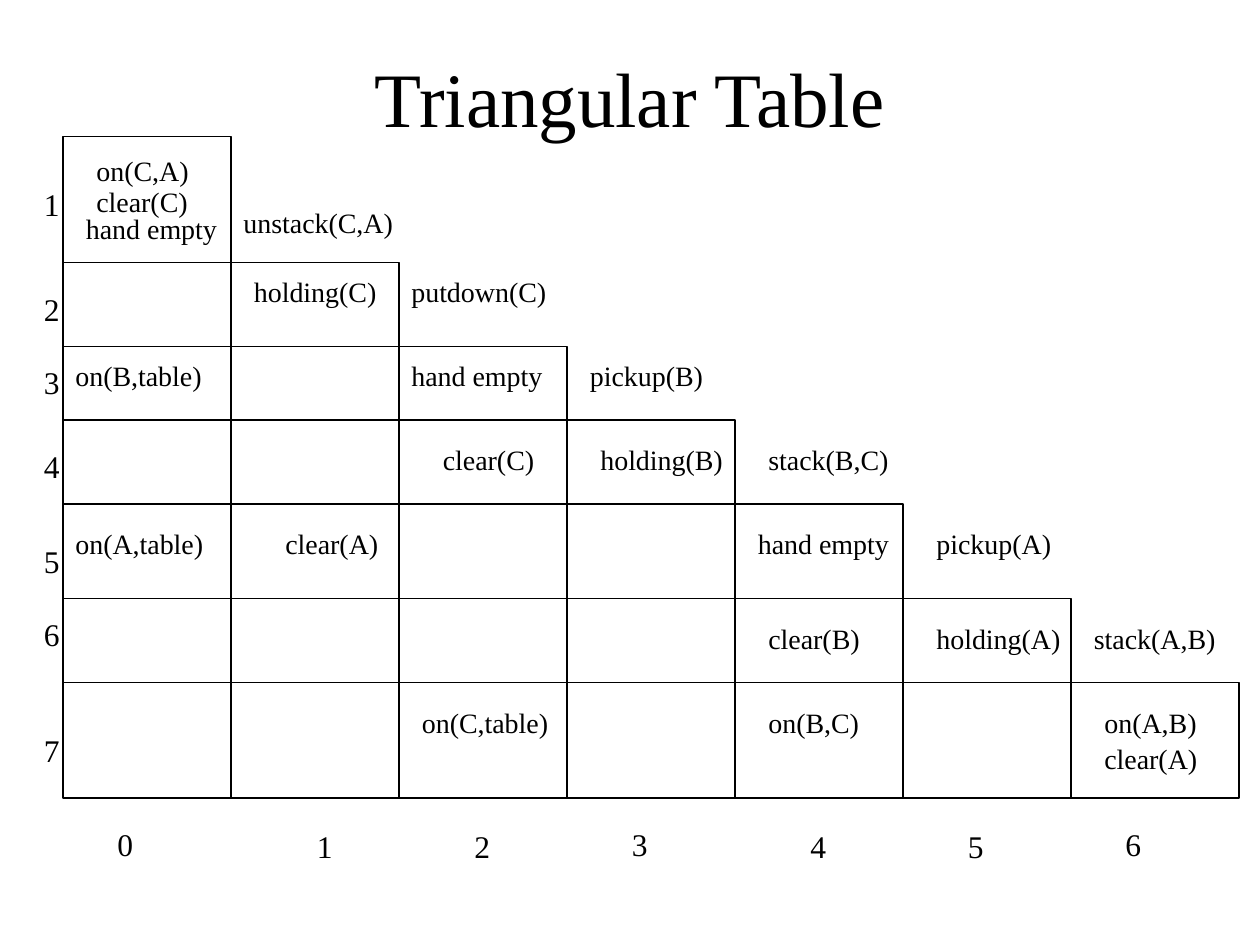
from dataclasses import dataclass
from lxml.etree import SubElement
from pptx import Presentation
from pptx.dml.color import RGBColor
from pptx.enum.shapes import MSO_CONNECTOR, MSO_SHAPE
from pptx.enum.text import MSO_ANCHOR, MSO_AUTO_SIZE, PP_ALIGN
from pptx.oxml.ns import qn
from pptx.util import Inches, Pt


@dataclass(frozen=True)
class Theme:
    font: str = "Times New Roman"
    ink: RGBColor = RGBColor(0, 0, 0)
    title: int = 44
    fact: int = 16
    index: int = 18
    rule: float = 0.75


@dataclass(frozen=True)
class Box:
    left: float
    top: float
    width: float
    height: float


THEME = Theme()
UNIT = Inches(1) / 12  # one grid step
COL = 16  # steps in a column
ROWS = [0, 12, 20, 27, 35, 44, 52]  # top of each row, in steps
WIDE = 19
# row, column, steps in, steps down, wording, width
FACTS = [
    (0, 0, 2, 1, "on(C,A)", WIDE),
    (0, 0, 2, 4, "clear(C)", WIDE),
    (0, 0, 1, 6.6, "hand empty", WIDE),
    (0, 1, 0, 6, "unstack(C,A)", WIDE),
    (1, 1, 1, 0.6, "holding(C)", COL),
    (1, 2, 0, 0.6, "putdown(C)", WIDE),
    (2, 0, 0, 0.6, "on(B,table)", WIDE),
    (2, 2, 0, 0.6, "hand empty", WIDE),
    (2, 3, 1, 0.6, "pickup(B)", WIDE),
    (3, 2, 3, 1.6, "clear(C)", WIDE),
    (3, 3, 2, 1.6, "holding(B)", WIDE),
    (3, 4, 2, 1.6, "stack(B,C)", WIDE),
    (4, 0, 0, 1.6, "on(A,table)", WIDE),
    (4, 1, 4, 1.6, "clear(A)", WIDE),
    (4, 4, 1, 1.6, "hand empty", WIDE),
    (4, 5, 2, 1.6, "pickup(A)", WIDE),
    (5, 4, 2, 1.6, "clear(B)", WIDE),
    (5, 5, 2, 1.6, "holding(A)", COL),
    (5, 6, 1, 1.6, "stack(A,B)", WIDE),
    (6, 2, 1, 1.6, "on(C,table)", WIDE),
    (6, 4, 2, 1.6, "on(B,C)", WIDE),
    (6, 6, 2, 1.6, "on(A,B)", WIDE),
    (6, 6, 2, 5, "clear(A)", WIDE),
]
SIDE = [4, 2, 1, 2, 3, 1, 4]  # steps down from the row top
FOOT = [(4, 0), (7, 0.2), (6, 0.2), (5, 0), (6, 0.2), (5, 0.2), (4, 0)]


def steps(*values):
    """Turn grid steps into slide lengths."""
    return [round(value * UNIT) for value in values]


def write(slide, box, words, size):
    """Add a one-line text box and return its frame and paragraph."""
    place = steps(box.left, box.top, box.width, box.height)
    frame = slide.shapes.add_textbox(*place).text_frame
    frame.word_wrap = True
    para = frame.paragraphs[0]
    run = para.add_run()
    run.text = words
    run.font.name = THEME.font
    run.font.size = Pt(size)
    run.font.color.rgb = THEME.ink
    return frame, para


def label(slide, box, words, size):
    frame, para = write(slide, box, words, size)
    frame.auto_size = MSO_AUTO_SIZE.SHAPE_TO_FIT_TEXT
    para.space_before = Pt(size * 0.62)


def stroke(line):
    line.color.rgb = THEME.ink
    line.width = Pt(THEME.rule)


def title(slide, box):
    frame, para = write(slide, box, "Triangular Table", THEME.title)
    frame.margin_left = frame.margin_right = 0
    frame.margin_top = frame.margin_bottom = 0
    frame.vertical_anchor = MSO_ANCHOR.MIDDLE
    para.alignment = PP_ALIGN.CENTER
    para.line_spacing = 0.41


def stairs(slide, box):
    """Draw each column from its own row down, then the row rules."""
    for col, top in enumerate(ROWS):
        left = box.left + col * COL
        place = steps(left, box.top + top, COL, box.height - top)
        bar = slide.shapes.add_shape(MSO_SHAPE.RECTANGLE, *place)
        bar.shadow.inherit = False
        bar.fill.background()
        stroke(bar.line)
    for col, top in enumerate(ROWS[1:], 1):
        y = box.top + top
        ends = steps(box.left + col * COL, y, box.left, y)
        rule = slide.shapes.add_connector(MSO_CONNECTOR.STRAIGHT, *ends)
        stroke(rule.line)
        SubElement(rule._element.spPr, qn("a:effectLst"))


def facts(slide, box):
    for row, col, right, down, words, width in FACTS:
        spot = Box(box.left + col * COL + right,
                   box.top + ROWS[row] + down, width, 4.4)
        label(slide, spot, words, THEME.fact)


def indices(slide, box):
    """Number the rows at the left and the columns below."""
    for row, (top, down) in enumerate(zip(ROWS, SIDE), 1):
        spot = Box(box.left - 3, box.top + top + down, 7, 4.8)
        label(slide, spot, str(row), THEME.index)
    for col, (right, down) in enumerate(FOOT):
        spot = Box(box.left + col * COL + right,
                   box.top + box.height + 2 + down, 7, 4.8)
        label(slide, spot, str(col), THEME.index)


def main():
    deck = Presentation()
    deck.slide_width, deck.slide_height = Inches(10), Inches(7.5)
    slide = deck.slides.add_slide(deck.slide_layouts[6])
    title(slide, Box(6, 3.6, 108, 15))
    grid = Box(6, 13, COL * len(ROWS), 63)
    for part in (stairs, facts, indices):
        part(slide, grid)
    deck.save("out.pptx")


if __name__ == "__main__":
    main()
